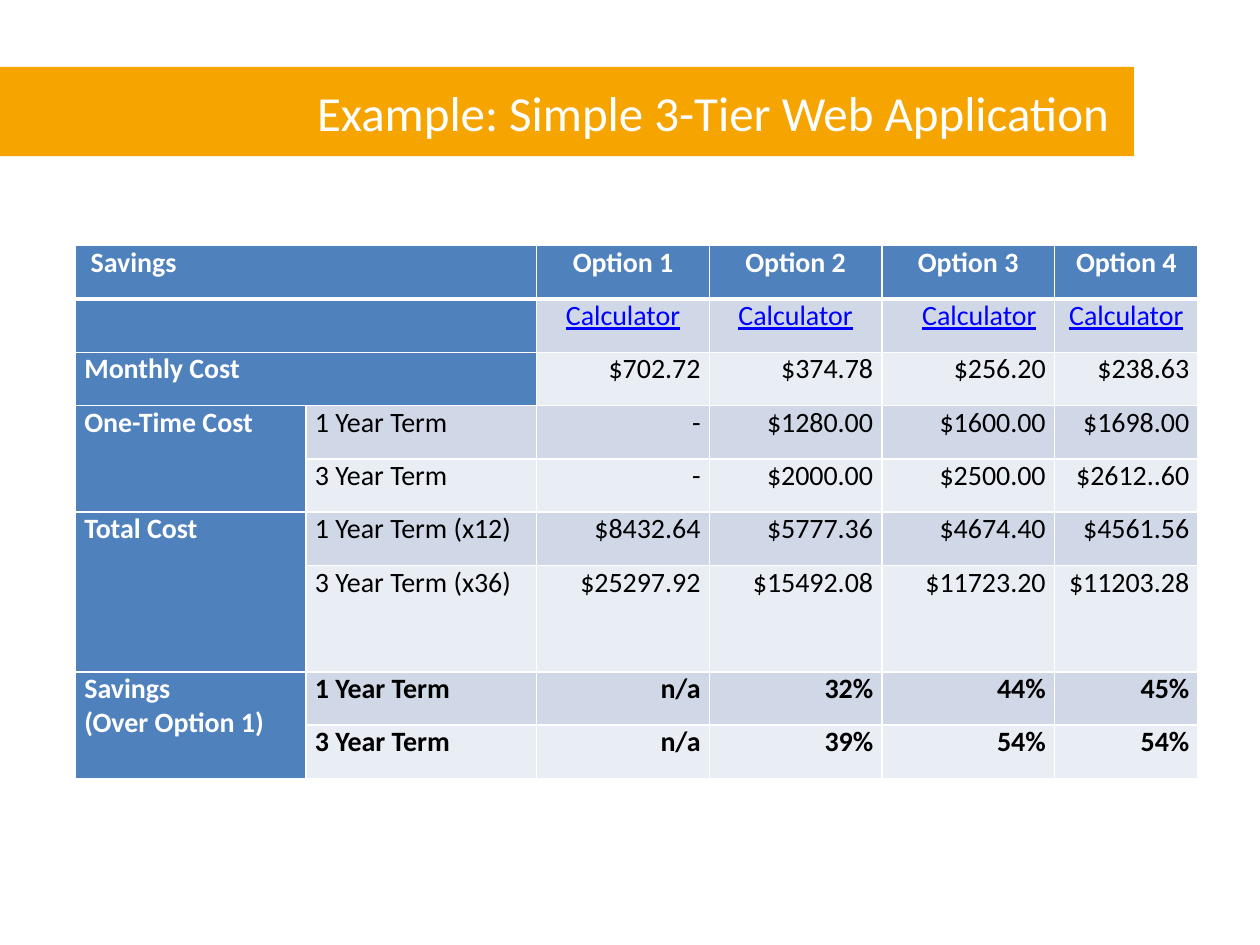
from dataclasses import dataclass

from lxml.etree import SubElement
from pptx import Presentation
from pptx.dml.color import RGBColor
from pptx.enum.text import MSO_ANCHOR, PP_ALIGN
from pptx.oxml import parse_xml
from pptx.oxml.ns import nsdecls
from pptx.util import Inches, Pt


@dataclass(frozen=True)
class Theme:
    font: str = "Calibri"
    title_size: int = 28
    cell_size: int = 16
    white: str = "FFFFFF"
    black: str = "000000"
    banner: str = "F6A400"
    header: str = "4F81BD"
    band_dark: str = "D0D8E8"
    band_light: str = "E9EDF4"
    link: str = "0000FF"


def write_text(tf, text, size, font, color, align=PP_ALIGN.LEFT,
               bold=False, underline=False, indent=0):
    """Fill a text frame, one paragraph per line, in a single format."""
    tf.text = text
    for p in tf.paragraphs:
        p.alignment = align
        if indent:
            pPr = p._p.get_or_add_pPr()
            pPr.set("marL", str(Inches(indent)))
            pPr.set("indent", "0")
        for r in p.runs:
            r.font.name = font
            r.font.size = Pt(size)
            r.font.bold = bold
            r.font.underline = underline
            r.font.color.rgb = RGBColor.from_string(color)


def set_borders(cell, color, **widths):
    """Give all four sides a line; widths in points override the 1 pt default."""
    tcPr = cell._tc.get_or_add_tcPr()
    for i, side in enumerate("LRTB"):
        width = Pt(widths.get(side, 1))
        ln = parse_xml(f'<a:ln{side} {nsdecls("a")} w="{width}"><a:solidFill>'
                       f'<a:srgbClr val="{color}"/></a:solidFill></a:ln{side}>')
        tcPr.insert(i, ln)


class SlideBuilder:
    def __init__(self, slide, theme):
        self.s = slide
        self.theme = theme

    def title(self, text, left, top, width, height):
        t = self.theme
        sp = self.s.shapes.title
        sp.left, sp.top = Inches(left), Inches(top)
        sp.width, sp.height = Inches(width), Inches(height)
        sp.fill.solid()
        sp.fill.fore_color.rgb = RGBColor.from_string(t.banner)
        tf = sp.text_frame
        tf.word_wrap = True
        tf.vertical_anchor = MSO_ANCHOR.MIDDLE
        tf.margin_left = tf.margin_right = Inches(0.2)
        tf.margin_top = tf.margin_bottom = Inches(0.12)
        write_text(tf, text, t.title_size, t.font, t.white, PP_ALIGN.RIGHT)

    def cell(self, cell, text, fill, borders, **text_format):
        t = self.theme
        cell.margin_left = cell.margin_right = Inches(0.07)
        cell.margin_top = cell.margin_bottom = 0
        cell.fill.solid()
        cell.fill.fore_color.rgb = RGBColor.from_string(fill)
        set_borders(cell, t.white, **borders)
        write_text(cell.text_frame, text, t.cell_size, t.font, **text_format)

    def table(self, rows, left, top, col_widths, row_units, height, merges):
        t = self.theme
        table = self.s.shapes.add_table(
            len(rows), len(col_widths), Inches(left), Inches(top),
            Inches(sum(col_widths)), Inches(height)).table
        table.first_row = table.horz_banding = False
        for column, width in zip(table.columns, col_widths):
            column.width = Inches(width)
        for row, units in zip(table.rows, row_units):
            row.height = int(Inches(height) * units / sum(row_units))
        for first, last in merges:
            table.cell(*first).merge(table.cell(*last))

        for i, row in enumerate(rows):
            band = t.band_dark if i % 2 else t.band_light
            borders = {0: {"B": 3}, 1: {"T": 3}}.get(i, {})
            for j, text in enumerate(row):
                # Headings: the top row, the first column and the merged labels
                if i == 0 or j == 0 or (j == 1 and i < 3):
                    fill, fmt = t.header, dict(color=t.white, bold=True)
                    if j > 1:
                        fmt["align"] = PP_ALIGN.CENTER
                    elif i == 0:
                        fmt["indent"] = 0.05
                # Calculator labels
                elif i == 1:
                    fill, fmt = band, dict(color=t.link, underline=True)
                    fmt |= dict(indent=0.25) if j == 4 else dict(align=PP_ALIGN.CENTER)
                # Terms and amounts; the savings rows are bold
                else:
                    fill, fmt = band, dict(color=t.black, bold=i > 6)
                    if j > 1:
                        fmt["align"] = PP_ALIGN.RIGHT
                self.cell(table.cell(i, j), text, fill, borders, **fmt)


ROWS = [
    ["Savings", "", "Option 1", "Option 2", "Option 3", "Option 4"],
    ["", ""] + ["Calculator"] * 4,
    ["Monthly Cost", "", "$702.72", "$374.78", "$256.20", "$238.63"],
    ["One-Time Cost", "1 Year Term", "-", "$1280.00", "$1600.00", "$1698.00"],
    ["", "3 Year Term", "-", "$2000.00", "$2500.00", "$2612..60"],
    ["Total Cost", "1 Year Term (x12)", "$8432.64", "$5777.36", "$4674.40", "$4561.56"],
    ["", "3 Year Term (x36)", "$25297.92", "$15492.08", "$11723.20", "$11203.28"],
    ["Savings\n(Over Option 1)", "1 Year Term", "n/a", "32%", "44%", "45%"],
    ["", "3 Year Term", "n/a", "39%", "54%", "54%"],
]


def main():
    prs = Presentation()
    prs.slide_width, prs.slide_height = Inches(10), Inches(7.5)
    s = prs.slides.add_slide(prs.slide_layouts[5])
    builder = SlideBuilder(s, Theme())

    # Banner title
    builder.title("Example: Simple 3-Tier Web Application", 0, 0.53, 9, 0.71)

    # Cost comparison: wide labels on top, two-row groups below
    merges = [((i, 0), (i, 1)) for i in range(3)]
    merges += [((i, 0), (i + 1, 0)) for i in (3, 5, 7)]
    builder.table(ROWS, 0.6, 1.95, [1.83, 1.83, 1.37, 1.37, 1.37, 1.14],
                  [1, 1, 1, 1, 1, 1, 2, 1, 1], 4.23, merges)

    prs.save("out.pptx")


if __name__ == "__main__":
    main()
